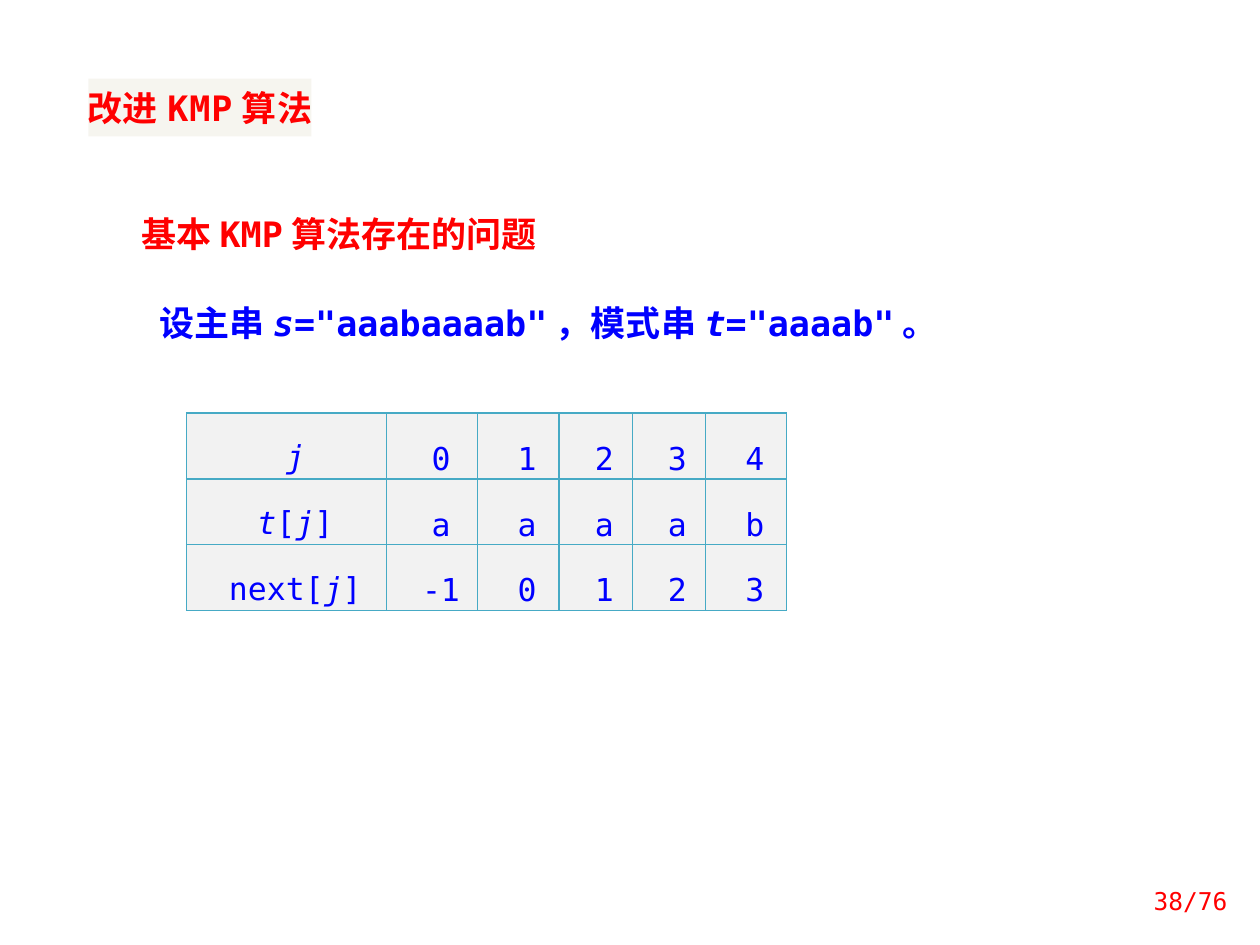
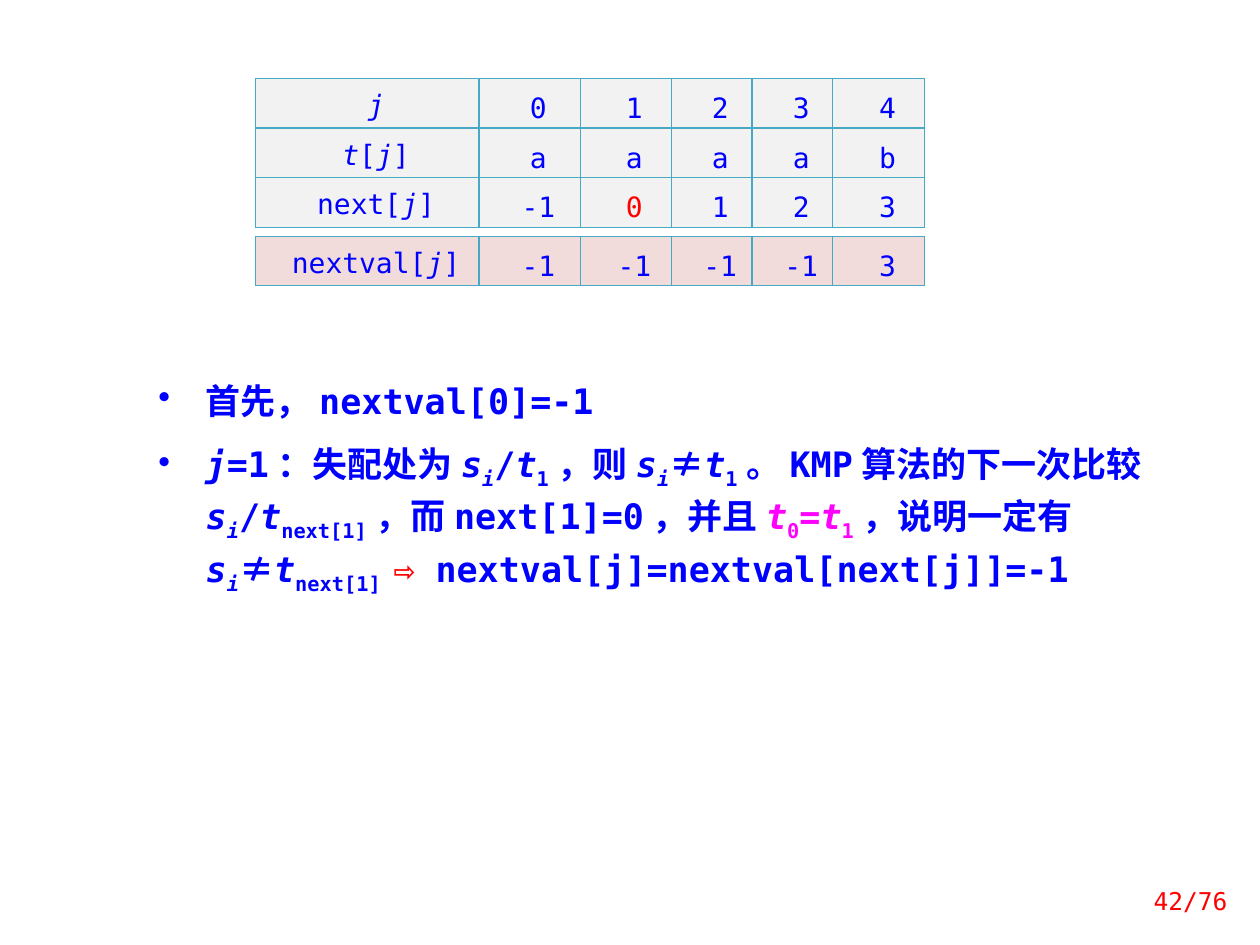
from lxml.etree import SubElement
from pptx import Presentation
from pptx.dml.color import RGBColor
from pptx.enum.shapes import MSO_SHAPE
from pptx.enum.text import MSO_ANCHOR, PP_ALIGN
from pptx.oxml.ns import qn
from pptx.util import Pt

hue = RGBColor.from_string
RED, BLUE, PINK = "FF0000", "0000FF", "FF00FF"
TEAL, GREY, ROSE = "46AAC5", "F2F2F2", "F2DCDB"
MONO, HAN = "DejaVu Sans Mono", "Noto Sans CJK SC"


def write(frame, *paras, size=20, color=BLUE, bold=True, align=PP_ALIGN.LEFT,
          line=None, gap=0, left=0, hang=0, bullet=None, track=0):
    """Fill a frame; a paragraph is a string or a list of (text, marks).

    Marks: i italic, _ subscript, r red, p pink, h Han font.
    """
    for n, runs in enumerate(paras):
        para = frame.paragraphs[0] if n == 0 else frame.add_paragraph()
        para.alignment = align
        if line:
            para.line_spacing = Pt(line)
        if n:
            para.space_before = Pt(gap)
        props = para._p.get_or_add_pPr()
        props.set("marL", str(Pt(left)))
        props.set("indent", str(Pt(-hang)))
        if bullet:
            SubElement(props, qn("a:buChar")).set("char", bullet)
        for text, marks in [(runs, "")] if isinstance(runs, str) else runs:
            run = para.add_run()
            run.text = text
            font = run.font
            font.size, font.bold, font.italic = Pt(size), bold, "i" in marks
            shade = RED if "r" in marks else PINK if "p" in marks else color
            font.color.rgb = hue(shade)
            font.name = HAN if "h" in marks else MONO
            look = run._r.get_or_add_rPr()
            SubElement(look, qn("a:ea")).set("typeface", font.name)
            if "_" in marks:
                look.set("baseline", "-25000")
            if track:
                look.set("spc", str(track))


def grid(slide, x, y, widths, height, rows, size, line, fill):
    """Draw a table of index rows, the first column holding the labels."""
    table = slide.shapes.add_table(
        len(rows), len(widths), Pt(x), Pt(y), Pt(sum(widths)), Pt(height * len(rows))).table
    table.first_row = table.horz_banding = False
    for col, width in zip(table.columns, widths):
        col.width = Pt(width)
    for r, row in enumerate(rows):
        table.rows[r].height = Pt(height)
        for c, text in enumerate(row):
            cell = table.cell(r, c)
            cell.margin_left = cell.margin_right = Pt(5)
            cell.margin_top = cell.margin_bottom = 0
            cell.vertical_anchor = MSO_ANCHOR.MIDDLE if c else MSO_ANCHOR.TOP
            for side in ("lnL", "lnR", "lnT", "lnB"):
                edge = SubElement(cell._tc.get_or_add_tcPr(), qn("a:" + side), w=str(Pt(0.75)))
                ink = SubElement(edge, qn("a:solidFill"))
                SubElement(ink, qn("a:srgbClr")).set("val", TEAL)
            cell.fill.solid()
            cell.fill.fore_color.rgb = hue(fill)
            write(cell.text_frame, text, size=size, bold=False,
                  align=PP_ALIGN.CENTER, line=line, left=10)


deck = Presentation()
deck.slide_width, deck.slide_height = Pt(720), Pt(540)
first, second = [deck.slides.add_slide(deck.slide_layouts[6]) for _ in range(2)]

j = ("j", "i")
index = [[j], *"01234"]
letters = [[("t", "i"), ("[", ""), j, ("]", "")], *"aaaab"]
nexts = [[("next[", ""), j, ("]", "")], "-1", "0", "1", "2", "3"]
marked = nexts[:2] + [[("0", "r")]] + nexts[3:]
vals = [[("nextval[", ""), j, ("]", "")], "-1", "-1", "-1", "-1", "3"]

# Slide 1: the problem
title = first.shapes.add_shape(MSO_SHAPE.RECTANGLE, Pt(50.5), Pt(45), Pt(127.5), Pt(33))
title.shadow.inherit = False
title.line.fill.background()
title.fill.solid()
title.fill.fore_color.rgb = hue("EEECE1")
tint = title._element.spPr.find(qn("a:solidFill"))[0]
SubElement(tint, qn("a:alpha")).set("val", "50000")
title.text_frame.word_wrap = False
title.text_frame.vertical_anchor = MSO_ANCHOR.MIDDLE
write(title.text_frame, "改进KMP算法", color=RED, align=PP_ALIGN.CENTER, track=50)

setup = [("设主串", ""), ("s", "i"), ("=", ""), ('"', "i"), ('aaabaaaab"，模式串', ""),
         ("t", "i"), ('="aaaab"。', "")]
for x, y, width, text, color in [(84, 168.5, 478, setup, BLUE),
                                 (73.5, 118, 276, "基本KMP算法存在的问题", RED)]:
    box = first.shapes.add_textbox(Pt(x), Pt(y), Pt(width), Pt(31.5))
    box.text_frame.word_wrap = True
    write(box.text_frame, text, color=color)
grid(first, 106.5, 236, [114.5, 52, 46.5, 41.75, 41.75, 46.75], 37.7,
     [index, letters, nexts], 18, 36, GREY)

# Slide 2: nextval
wide = [127.75, 57.75, 52, 46.25, 46.25, 52.5]
grid(second, 146, 44.75, wide, 28.4, [index, letters, marked], 16, 25, GREY)
grid(second, 146, 135, wide, 28.4, [vals], 16, 25, ROSE)

notes = second.shapes.add_shape(MSO_SHAPE.RECTANGLE, Pt(73.5), Pt(199.5), Pt(596), Pt(153.5))
notes.shadow.inherit = False
notes.line.fill.background()
notes.fill.solid()
notes.fill.fore_color.rgb = hue("FFFFFF")
frame = notes.text_frame
frame.word_wrap = True
frame.vertical_anchor = MSO_ANCHOR.TOP
frame.margin_left, frame.margin_right = Pt(17), Pt(7.2)
frame.margin_top = frame.margin_bottom = Pt(11.5)
si = [("s", "i"), ("i", "i_")]
differ = si + [("≠", "h"), ("t", "i")]
ratio = si + [("/", ""), ("t", "i")]
step = [j, ("=1：失配处为", ""), *ratio, ("1", "_"), ("，则", ""), *differ, ("1", "_"),
        ("。KMP算法的下一次比较", ""), *ratio, ("next[1]", "_"),
        ("，而next[1]=0，并且", ""), ("t", "ip"), ("0", "_p"), ("=", "p"), ("t", "ip"),
        ("1", "_p"), ("，说明一定有", ""), *differ, ("next[1] ", "_"), ("⇨ ", "r"),
        ("nextval[j]=nextval[next[j]]=-1", "")]
write(frame, "首先，nextval[0]=-1", step, line=30, gap=9, left=27, hang=27, bullet="•")

for slide, page in [(first, 38), (second, 42)]:
    foot = slide.shapes.add_textbox(Pt(632), Pt(500.5), Pt(76.5), Pt(28.5)).text_frame
    foot.word_wrap = True
    foot.vertical_anchor = MSO_ANCHOR.MIDDLE
    write(foot, f"{page}/76", size=14, color=RED, bold=False, align=PP_ALIGN.RIGHT)

deck.save("out.pptx")
